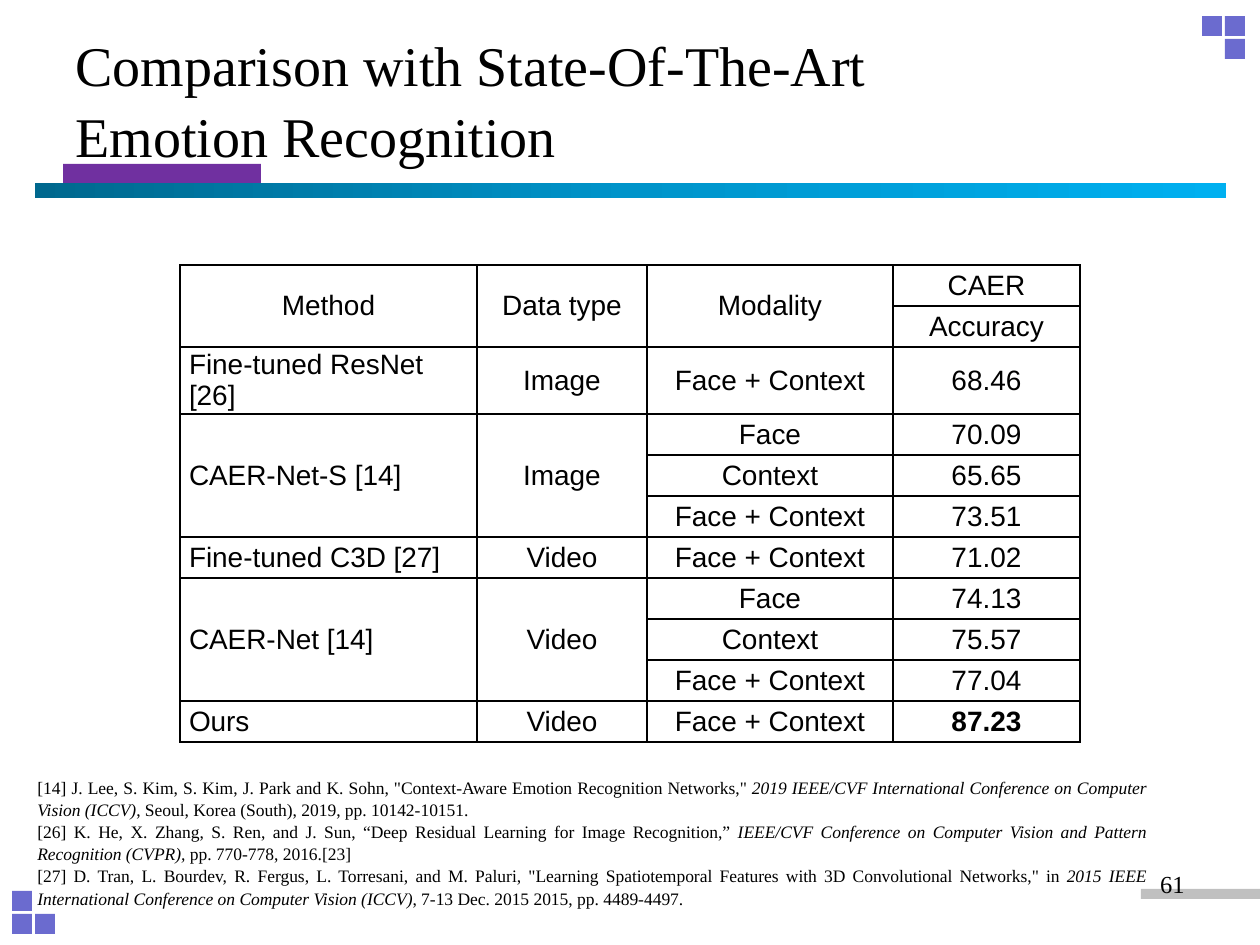
import copy

import lxml.etree
import pptx
import pptx.dml.color
import pptx.enum.shapes
import pptx.enum.text
import pptx.oxml
import pptx.oxml.ns
import pptx.util

RGB = pptx.dml.color.RGBColor
BLACK = RGB(0, 0, 0)
WHITE = RGB(255, 255, 255)
GREY = RGB(0xC0, 0xC0, 0xC0)
LILAC = RGB(0x6B, 0x6B, 0xCF)
PURPLE = RGB(0x70, 0x30, 0xA0)
BLUES = [RGB(0, 0x68, 0x8E), RGB(0, 0x94, 0xCA), RGB(0, 0xB0, 0xF0)]
ALIGN = pptx.enum.text.PP_ALIGN
MIDDLE = pptx.enum.text.MSO_ANCHOR.MIDDLE
SCALE = pptx.util.Inches(1) / 126
SERIF, SANS = "Times New Roman", "Arial"

CORNERS = [
    (1202, 16, [(0, 0), (1, 0), (1, 1)]),
    (12, 891, [(0, 0), (0, 1), (1, 1)]),
]
COLS = [297, 170, 246, 187]
ROWS = [
    ["Method", "Data type", "Modality", "CAER"],
    ["", "", "", "Accuracy"],
    ["Fine-tuned ResNet [26]", "Image", "Face + Context", "68.46"],
    ["CAER-Net-S [14]", "Image", "Face", "70.09"],
    ["", "", "Context", "65.65"],
    ["", "", "Face + Context", "73.51"],
    ["Fine-tuned C3D [27]", "Video", "Face + Context", "71.02"],
    ["CAER-Net [14]", "Video", "Face", "74.13"],
    ["", "", "Context", "75.57"],
    ["", "", "Face + Context", "77.04"],
    ["Ours", "Video", "Face + Context", "87.23"],
]
SPANS = [(0, 1, 3), (3, 5, 2), (7, 9, 2)]
BEST = "87.23"
REFS = [
    [
        '[14] J. Lee, S. Kim, S. Kim, J. Park and K. Sohn, "Context-Aware Emotion Recognition Networks," ',
        "2019 IEEE/CVF International Conference on Computer Vision (ICCV)",
        ", Seoul, Korea (South), 2019, pp. 10142-10151. ",
    ],
    [
        "[26] K. He, X. Zhang, S. Ren, and J. Sun, “Deep Residual Learning for Image Recognition,” ",
        "IEEE/CVF Conference on Computer Vision and Pattern Recognition (CVPR), ",
        "pp. 770-778, 2016.[23]",
    ],
    [
        '[27] D. Tran, L. Bourdev, R. Fergus, L. Torresani, and M. Paluri, "Learning Spatiotemporal Features '
        'with 3D Convolutional Networks," in ',
        "2015 IEEE International Conference on Computer Vision (ICCV)",
        ", 7-13 Dec. 2015 2015, pp. 4489-4497. ",
    ],
]


def emu(*px):
    return [pptx.util.Emu(round(n * SCALE)) for n in px]


class Deck:
    """Holds the style and the current slide."""

    def __init__(self):
        self.file = pptx.Presentation()
        self.file.slide_width, self.file.slide_height = emu(1260, 945)
        self.slide = self.file.slides.add_slide(self.file.slide_layouts[5])

    def run(self, para, text, size, face=SERIF, bold=False, slant=False):
        run = para.add_run()
        run.text = text
        font = run.font
        font.size, font.name = pptx.util.Pt(size), face
        font.bold, font.italic = bold, slant
        font.color.rgb = BLACK

    def title(self, lines, box):
        shape = self.slide.shapes.title
        shape.left, shape.top, shape.width, shape.height = emu(*box)
        frame = shape.text_frame
        frame.auto_size = pptx.enum.text.MSO_AUTO_SIZE.NONE
        frame.vertical_anchor = MIDDLE
        para = frame.paragraphs[0]
        para.alignment, para.line_spacing = ALIGN.LEFT, 1.05
        for i, line in enumerate(lines):
            if i:
                para.add_line_break()
            self.run(para, line, 32)

    def rect(self, box, fill):
        kind = pptx.enum.shapes.MSO_SHAPE.RECTANGLE
        shape = self.slide.shapes.add_shape(kind, *emu(*box))
        shape.shadow.inherit = False
        shape.line.fill.background()
        if not isinstance(fill, list):
            shape.fill.solid()
            shape.fill.fore_color.rgb = fill
            return
        shape.fill.gradient()
        shape.fill.gradient_angle = 0
        first = next(shape.element.iter(pptx.oxml.ns.qn("a:gs")))
        first.addnext(copy.deepcopy(first))
        for i, (stop, tone) in enumerate(zip(shape.fill.gradient_stops, fill)):
            stop.position = i / 2
            stop.color.rgb = tone

    def text(self, paras, box, size, align):
        frame = self.slide.shapes.add_textbox(*emu(*box)).text_frame
        frame.word_wrap = True
        for i, parts in enumerate(paras):
            para = frame.add_paragraph() if i else frame.paragraphs[0]
            para.alignment, para.line_spacing = align, 1.05
            for j, part in enumerate(parts):
                self.run(para, part, size, slant=j == 1)

    def edge(self, cell):
        props = cell._tc.get_or_add_tcPr()
        for i, side in enumerate("LRTB"):
            line = pptx.oxml.parse_xml(
                f'<a:ln{side} {pptx.oxml.ns.nsdecls("a")} w="12700"><a:solidFill>'
                f'<a:srgbClr val="{BLACK}"/></a:solidFill></a:ln{side}>'
            )
            props.insert(i, line)

    def table(self, left, top, high):
        box = emu(left, top, sum(COLS), high * len(ROWS))
        grid = self.slide.shapes.add_table(len(ROWS), len(COLS), *box).table
        grid.first_row = grid.horz_banding = False
        for col, wide in zip(grid.columns, COLS):
            col.width = emu(wide)[0]
        for r, row in enumerate(ROWS):
            grid.rows[r].height = emu(high)[0]
            for c, word in enumerate(row):
                self.cell(grid.cell(r, c), word, c == 0 and r > 0)
        for start, end, count in SPANS:
            for c in range(count):
                grid.cell(start, c).merge(grid.cell(end, c))

    def cell(self, cell, word, left):
        cell.fill.solid()
        cell.fill.fore_color.rgb = WHITE
        self.edge(cell)
        cell.vertical_anchor = MIDDLE
        cell.margin_left = cell.margin_right = emu(9)[0]
        cell.margin_top = cell.margin_bottom = 0
        para = cell.text_frame.paragraphs[0]
        para.alignment = ALIGN.LEFT if left else ALIGN.CENTER
        para.font.size = pptx.util.Pt(16)
        if word:
            self.run(para, word, 16, SANS, bold=word == BEST)


def main():
    deck = Deck()
    deck.rect((1141, 889, 119, 10), GREY)
    deck.rect((63, 164, 198, 20), PURPLE)
    deck.rect((35, 183, 1191, 15), BLUES)
    for left, top, spots in CORNERS:
        for col, row in spots:
            deck.rect((left + 23 * col, top + 23 * row, 20, 20), LILAC)
    deck.title(["Comparison with State-Of-The-Art", "Emotion Recognition"], (63, 19, 1134, 158))
    deck.text([["61"]], (903, 861, 294, 65), 14, ALIGN.RIGHT)
    deck.table(180, 265, 41)
    deck.text(REFS, (25, 770, 1134, 140), 10, ALIGN.JUSTIFY)
    deck.file.save("out.pptx")


if __name__ == "__main__":
    main()
